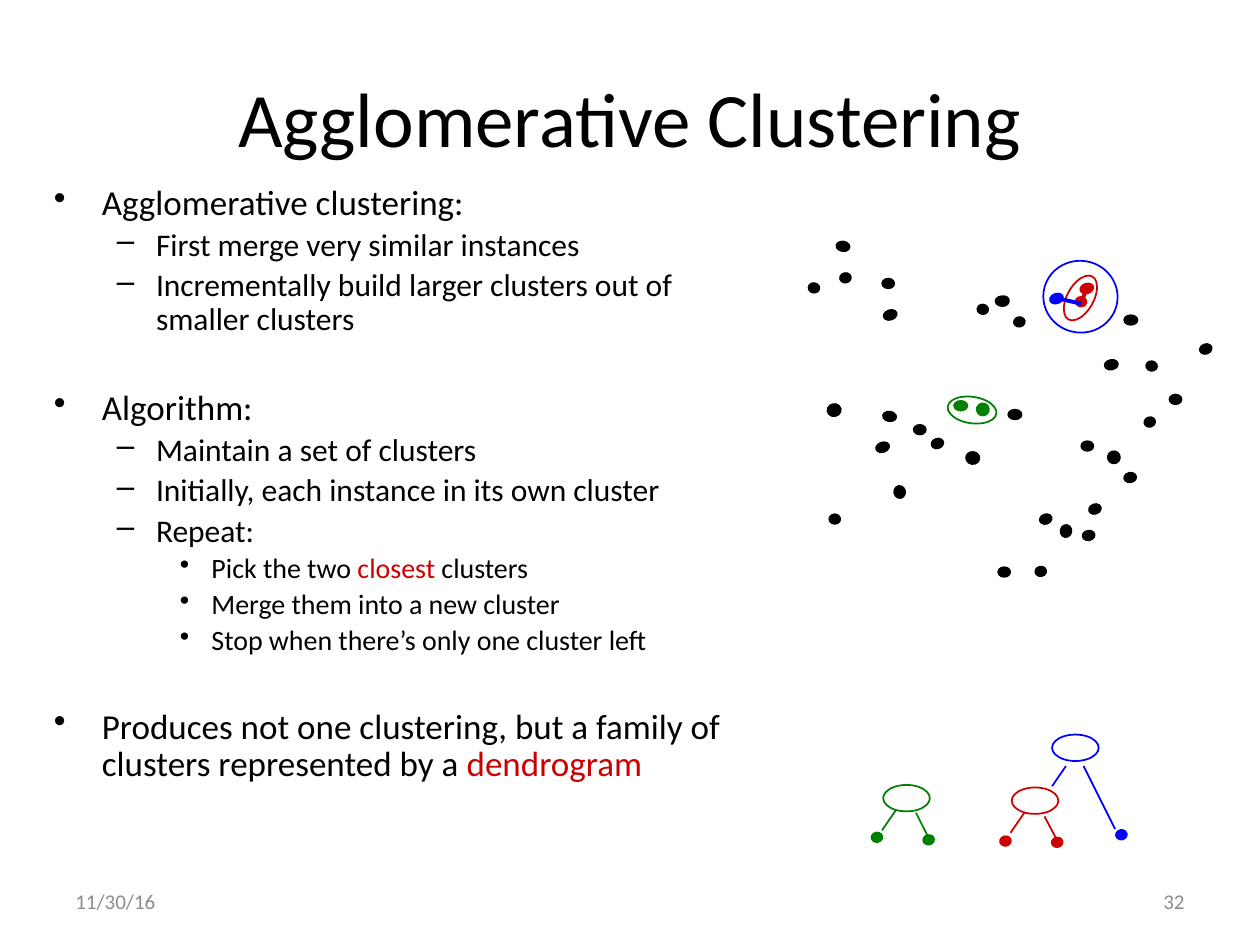
from dataclasses import dataclass

from lxml.etree import SubElement
from pptx import Presentation
from pptx.dml.color import RGBColor
from pptx.enum.shapes import MSO_CONNECTOR as CONNECTOR, MSO_SHAPE as SHAPE
from pptx.enum.text import MSO_ANCHOR as ANCHOR, PP_ALIGN as ALIGN
from pptx.oxml.ns import qn
from pptx.util import Inches, Pt


@dataclass(frozen=True)
class Theme:
    font: str = "Calibri"
    black: str = "000000"
    grey: str = "8C8C8C"
    red: str = "CC0000"
    green: str = "008000"
    blue: str = "0000FF"
    title_size: int = 44
    footer_size: int = 12
    level_sizes: tuple = (20, 18, 16)
    dot_line: float = 0.75
    outline: float = 1
    link: float = 2.25


THEME = Theme()

# Bullet, left margin and hanging indent of each outline level
LEVELS = (("•", 0.38, 0.38), ("–", 0.81, 0.31), ("•", 1.25, 0.25))
SECTION_GAP = 30

# Level and text; *starred* words are accented
OUTLINE = [
    (0, "Agglomerative clustering:"),
    (1, "First merge very similar instances"),
    (1, "Incrementally build larger clusters out of smaller clusters"),
    (0, "Algorithm:"),
    (1, "Maintain a set of clusters"),
    (1, "Initially, each instance in its own cluster"),
    (1, "Repeat:"),
    (2, "Pick the two *closest *clusters"),
    (2, "Merge them into a new cluster"),
    (2, "Stop when there’s only one cluster left"),
    (0, "Produces not one clustering, but a family of clusters represented by a *dendrogram*"),
]

# Unmerged instances by rotation: left, top, width, height
INSTANCES = {
    0: [(7.25, 3.37, 0.1, 0.08), (9.28, 3.13, 0.1, 0.08), (7.92, 4.5, 0.1, 0.08),
        (8, 3.25, 0.11, 0.08), (7.9, 2.35, 0.1, 0.08), (7, 2.21, 0.1, 0.08),
        (6.58, 4.08, 0.09, 0.08), (8.58, 3.5, 0.1, 0.08), (8.92, 2.5, 0.11, 0.08)],
    341.4: [(9.52, 2.73, 0.1, 0.08), (8.25, 4.08, 0.1, 0.08), (8.64, 4, 0.1, 0.08),
            (6.95, 3.51, 0.11, 0.08), (7.92, 2.35, 0.09, 0.08), (7.01, 2.46, 0.11, 0.08),
            (7.39, 3.48, 0.1, 0.08), (9.08, 3.31, 0.09, 0.08)],
    98.3: [(6.42, 2.24, 0.08, 0.09), (7.67, 3.58, 0.1, 0.11), (7.02, 3.25, 0.08, 0.11),
           (7.76, 2.41, 0.08, 0.09), (8.79, 3.58, 0.1, 0.1), (9.1, 2.86, 0.08, 0.09),
           (6.65, 1.9, 0.08, 0.11), (8.41, 4.17, 0.1, 0.09)],
    79.6: [(8.22, 4.49, 0.08, 0.09), (6.57, 3.2, 0.1, 0.11), (7.09, 3.86, 0.1, 0.09),
           (6.67, 2.16, 0.08, 0.09), (8.93, 3.74, 0.08, 0.1), (8.78, 2.84, 0.08, 0.11),
           (8.05, 2.51, 0.08, 0.09), (8.6, 4.2, 0.08, 0.1)],
}

# Merged clusters: colour, (box, rotation) of members, ring, link ends
CLUSTERS = [
    (THEME.red, [((8.57, 2.25, 0.11, 0.08), 341.4), ((8.54, 2.35, 0.08, 0.09), 98.3)],
     ((8.38, 2.26, 0.39, 0.21), 299.1), (8.58, 2.4, 8.61, 2.33)),
    (THEME.green, [((7.57, 3.18, 0.11, 0.08), 0), ((7.75, 3.2, 0.1, 0.1), 79.6)],
     ((7.52, 3.15, 0.39, 0.21), 8.3), (7.62, 3.23, 7.67, 3.24)),
    (THEME.blue, [((8.33, 2.33, 0.11, 0.08), 341.4)],
     ((8.28, 2.07, 0.59, 0.57), 8.3), (8.4, 2.37, 8.58, 2.41)),
]

# Dendrogram: colour, leaf corners, node corner, branch ends
TREES = [
    (THEME.green, [(7.33, 6.62), (6.92, 6.6)], (7.01, 6.23),
     [(7, 6.59, 7.11, 6.43), (7.27, 6.45, 7.38, 6.67)]),
    (THEME.red, [(8.35, 6.64), (7.94, 6.63)], (8.03, 6.25),
     [(8.02, 6.61, 8.13, 6.45), (8.29, 6.48, 8.38, 6.65)]),
    (THEME.blue, [(8.86, 6.58)], (8.35, 5.83),
     [(8.35, 6.24, 8.46, 6.08), (8.6, 6.08, 8.85, 6.58)]),
]
LEAF_SIZE, LEAF_ROTATION = (0.08, 0.09), 79.6
NODE_SIZE = (0.37, 0.21)


class SlideBuilder:
    def __init__(self, slide, theme):
        self.slide = slide
        self.theme = theme
        self.canvas = slide.shapes

    def start_group(self):
        self.canvas = self.slide.shapes.add_group_shape().shapes

    def style(self, font, size, color):
        font.name = self.theme.font
        font.size = Pt(size)
        font.color.rgb = RGBColor.from_string(color)

    def frame(self, box, anchor):
        frame = self.slide.shapes.add_textbox(*map(Inches, box)).text_frame
        frame.word_wrap = True
        frame.vertical_anchor = anchor
        return frame

    def label(self, text, box, size, color, align):
        paragraph = self.frame(box, ANCHOR.MIDDLE).paragraphs[0]
        paragraph.text = text
        paragraph.alignment = align
        self.style(paragraph.font, size, color)

    def outline(self, items, box):
        frame = self.frame(box, ANCHOR.TOP)
        for index, (level, text) in enumerate(items):
            paragraph = frame.add_paragraph() if index else frame.paragraphs[0]
            bullet, margin, hanging = LEVELS[level]
            size = self.theme.level_sizes[level]
            properties = paragraph._p.get_or_add_pPr()
            properties.set("marL", str(Inches(margin)))
            properties.set("indent", str(-Inches(hanging)))
            SubElement(properties, qn("a:buChar"), char=bullet)
            paragraph.level = level
            paragraph.line_spacing = 0.9
            if index:
                paragraph.space_before = Pt(size * 0.2 if level else SECTION_GAP)
            self.style(paragraph.font, size, self.theme.black)
            for part, words in enumerate(text.split("*")):
                if words:
                    run = paragraph.add_run()
                    run.text = words
                    if part % 2:
                        run.font.color.rgb = RGBColor.from_string(self.theme.red)

    def ellipse(self, box, color, rotation=0, filled=False):
        oval = self.canvas.add_shape(SHAPE.OVAL, *map(Inches, box))
        oval.rotation = rotation
        oval.shadow.inherit = False
        oval.line.color.rgb = RGBColor.from_string(color)
        oval.line.width = Pt(self.theme.dot_line if filled else self.theme.outline)
        if filled:
            oval.fill.solid()
            oval.fill.fore_color.rgb = RGBColor.from_string(color)
        else:
            oval.fill.background()

    def line(self, ends, color, width):
        line = self.canvas.add_connector(CONNECTOR.STRAIGHT, *map(Inches, ends))
        line.line.color.rgb = RGBColor.from_string(color)
        line.line.width = Pt(width)
        SubElement(line._element.spPr, qn("a:effectLst"))


def main():
    deck = Presentation()
    deck.slide_width, deck.slide_height = Inches(10), Inches(7.5)
    builder = SlideBuilder(deck.slides.add_slide(deck.slide_layouts[6]), THEME)

    # Title, outline and footer
    builder.label("Agglomerative Clustering", (0.5, 0.3, 9, 1.25),
                  THEME.title_size, THEME.black, ALIGN.CENTER)
    builder.outline(OUTLINE, (0.33, 1.42, 5.75, 5.33))
    for text, left, align in (("11/30/16", 0.5, ALIGN.LEFT), ("32", 7.17, ALIGN.RIGHT)):
        builder.label(text, (left, 6.95, 2.33, 0.4), THEME.footer_size, THEME.grey, align)

    # Dendrogram
    for color, leaves, node, branches in TREES:
        builder.start_group()
        for leaf in leaves:
            builder.ellipse(leaf + LEAF_SIZE, color, LEAF_ROTATION, filled=True)
        builder.ellipse(node + NODE_SIZE, color)
        for branch in branches:
            builder.line(branch, color, THEME.outline)

    # Scatter of instances
    builder.start_group()
    for rotation, boxes in INSTANCES.items():
        for box in boxes:
            builder.ellipse(box, THEME.black, rotation, filled=True)

    # Merged clusters
    for color, members, (ring, tilt), link in CLUSTERS:
        builder.start_group()
        for box, rotation in members:
            builder.ellipse(box, color, rotation, filled=True)
        builder.ellipse(ring, color, tilt)
        builder.line(link, color, THEME.link)

    deck.save("out.pptx")


if __name__ == "__main__":
    main()
